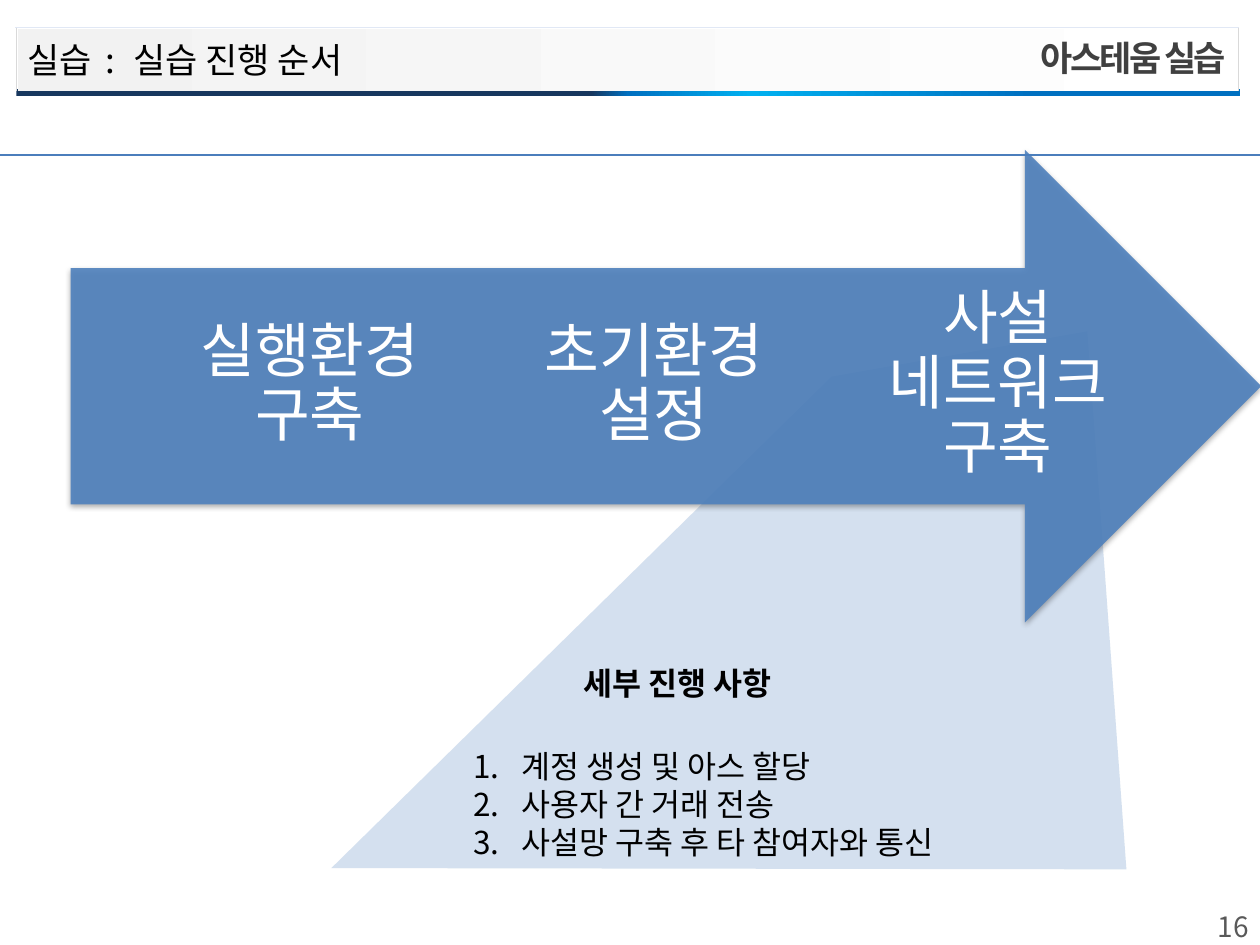
from lxml.etree import SubElement
from pptx import Presentation
from pptx.dml.color import RGBColor
from pptx.enum.shapes import MSO_CONNECTOR, MSO_SHAPE
from pptx.enum.text import MSO_ANCHOR, PP_ALIGN
from pptx.oxml.ns import qn
from pptx.util import Inches, Pt

FONT = "Noto Sans CJK KR"
BLACK = RGBColor(0x00, 0x00, 0x00)
WHITE = RGBColor(0xFF, 0xFF, 0xFF)
DARK_GRAY = RGBColor(0x40, 0x40, 0x40)
GRAY = RGBColor(0x59, 0x59, 0x59)
EDGE_GRAY = RGBColor(0xD9, 0xD9, 0xD9)
EDGE_BLUE = RGBColor(0xE1, 0xE8, 0xF5)
PANEL_GRAY = RGBColor(0xF2, 0xF2, 0xF2)
NAVY = RGBColor(0x17, 0x37, 0x5E)
BLUE = RGBColor(0x00, 0x70, 0xC0)
SKY = RGBColor(0x00, 0xB0, 0xF0)
ARROW_BLUE = RGBColor(0x4F, 0x81, 0xBD)
RULE_BLUE = RGBColor(0x4B, 0x7E, 0xBC)
PALE_BLUE = RGBColor(0xB9, 0xCD, 0xE5)


def add_node(parent, tag, **attrs):
    """Append an XML element with the given attributes."""
    return SubElement(parent, qn(tag), {k: str(v) for k, v in attrs.items()})


def fill_solid(sp, color, opacity):
    """Fill a shape with a partly transparent color and no outline."""
    sp.shadow.inherit = False
    sp.line.fill.background()
    sp.fill.solid()
    sp.fill.fore_color.rgb = color
    clr = sp.fill._xPr.find(qn("a:solidFill"))[0]
    add_node(clr, "a:alpha", val=opacity * 1000)


def add_gradient_bar(slide, left, top, width, height, stops):
    """Add a rectangle with a left-to-right gradient."""
    sp = slide.shapes.add_shape(MSO_SHAPE.RECTANGLE, Inches(left), Inches(top),
                                Inches(width), Inches(height))
    sp.shadow.inherit = False
    sp.line.fill.background()
    sp.fill.gradient()
    sp.fill.gradient_angle = 0
    gs_list = sp.fill._xPr.find(qn("a:gradFill")).find(qn("a:gsLst"))
    for gs in list(gs_list):
        gs_list.remove(gs)
    for pos, color in stops:
        gs = add_node(gs_list, "a:gs", pos=pos * 1000)
        add_node(gs, "a:srgbClr", val=color)


def add_line(slide, x1, y1, x2, y2, color, width):
    """Add a straight line without a shadow."""
    cxn = slide.shapes.add_connector(MSO_CONNECTOR.STRAIGHT, Inches(x1), Inches(y1),
                                     Inches(x2), Inches(y2))
    cxn.line.color.rgb = color
    cxn.line.width = Pt(width)
    add_node(cxn._element.spPr, "a:effectLst")


def add_callout(slide, points):
    """Add the pale outline that links the last step to its details."""
    start, *rest = [(Inches(x), Inches(y)) for x, y in points]
    builder = slide.shapes.build_freeform(*start)
    builder.add_line_segments(rest, close=True)
    fill_solid(builder.convert_to_shape(), PALE_BLUE, 61)


def add_arrow(slide, left, top, width, height):
    """Add the process arrow with its soft shadow."""
    sp = slide.shapes.add_shape(MSO_SHAPE.RIGHT_ARROW, Inches(left), Inches(top),
                                Inches(width), Inches(height))
    fill_solid(sp, ARROW_BLUE, 90)
    effects = sp._element.spPr.find(qn("a:effectLst"))
    shadow = add_node(effects, "a:outerShdw", blurRad=Pt(3.1), dist=Pt(1.8),
                      dir=5400000, rotWithShape=0)
    clr = add_node(shadow, "a:srgbClr", val=BLACK)
    add_node(clr, "a:alpha", val=35000)


def add_run(p, text, size, color=BLACK, bold=False, font=FONT, spacing=0):
    """Add formatted text to a paragraph."""
    r = p.add_run()
    r.text = text
    r.font.size = Pt(size)
    r.font.bold = bold
    r.font.color.rgb = color
    r.font.name = font
    rPr = r.font._element
    add_node(rPr, "a:ea", typeface=FONT)
    if spacing:
        rPr.set("spc", str(int(spacing * 100)))


def add_text(slide, left, top, width, height, lines, size, align=PP_ALIGN.LEFT,
             wrap=True, step=False, numbered=False, **style):
    """Add a text box with one paragraph for each line of runs."""
    box = slide.shapes.add_textbox(Inches(left), Inches(top), Inches(width), Inches(height))
    tf = box.text_frame
    tf.word_wrap = wrap
    if step:
        tf.vertical_anchor = MSO_ANCHOR.MIDDLE
        tf.margin_left = tf.margin_right = 0
        tf.margin_top = tf.margin_bottom = Inches(0.38)
    for i, line in enumerate(lines):
        p = tf.add_paragraph() if i else tf.paragraphs[0]
        p.alignment = align
        if step:
            p.line_spacing = 0.9
        if numbered:
            pPr = p._p.get_or_add_pPr()
            pPr.set("marL", str(Inches(0.38)))
            pPr.set("indent", str(-Inches(0.38)))
            add_node(pPr, "a:buFont", typeface=FONT)
            add_node(pPr, "a:buAutoNum", type="arabicPeriod")
        runs = [(line, {})] if isinstance(line, str) else line
        for text, extra in runs:
            add_run(p, text, size, **{**style, **extra})


def add_header(slide):
    """Add the header panel, its edges and the gradient underline."""
    add_gradient_bar(slide, 0.13, 0.71, 9.71, 0.05,
                     [(47, NAVY), (50, BLUE), (60, SKY), (83, BLUE)])
    add_gradient_bar(slide, 0.14, 0.23, 9.69, 0.49, [(0, PANEL_GRAY), (100, WHITE)])
    add_line(slide, 0.12, 0.22, 9.83, 0.22, EDGE_BLUE, 0.25)
    for x in (0.13, 9.83):
        add_line(slide, x, 0.22, x, 0.72, EDGE_GRAY, 0.5)


def main():
    """Build and save the slide."""
    prs = Presentation()
    prs.slide_width, prs.slide_height = Inches(10), Inches(7.5)
    slide = prs.slides.add_slide(prs.slide_layouts[6])

    add_text(slide, 9.55, 7.17, 0.46, 0.37, ["16"], 16, align=PP_ALIGN.RIGHT,
             wrap=False, color=GRAY)
    add_header(slide)
    add_callout(slide, [(6.6, 2.99), (8.63, 2.63), (8.94, 6.9), (2.63, 6.89)])
    add_text(slide, 6.26, 0.24, 3.57, 0.44, ["아스테움 실습"], 20,
             align=PP_ALIGN.RIGHT, color=DARK_GRAY, bold=True, spacing=-1.5)
    title = [("실습", {}), (" : ", {"spacing": 3}), ("실습 진행 순서", {"font": "Arial"})]
    add_text(slide, 0.12, 0.26, 3.86, 0.44, [title], 20)

    add_arrow(slide, 0.56, 1.19, 9.45, 3.75)
    for i, step in enumerate(["실행환경 구축", "초기환경 설정", "사설 네트워크 구축"]):
        add_text(slide, 1.32 + 2.73 * i, 2.12, 2.28, 1.87, [step], 34,
                 align=PP_ALIGN.CENTER, step=True, color=WHITE)

    details = ["계정 생성 및 아스 할당", "사용자 간 거래 전송", "사설망 구축 후 타 참여자와 통신"]
    add_text(slide, 3.66, 5.88, 4.96, 1.01, details, 18, numbered=True)
    add_text(slide, 4.53, 5.22, 2.28, 0.4, ["세부 진행 사항"], 18, bold=True)
    add_line(slide, 0, 1.23, 10, 1.23, RULE_BLUE, 0.75)
    prs.save("out.pptx")


if __name__ == "__main__":
    main()
